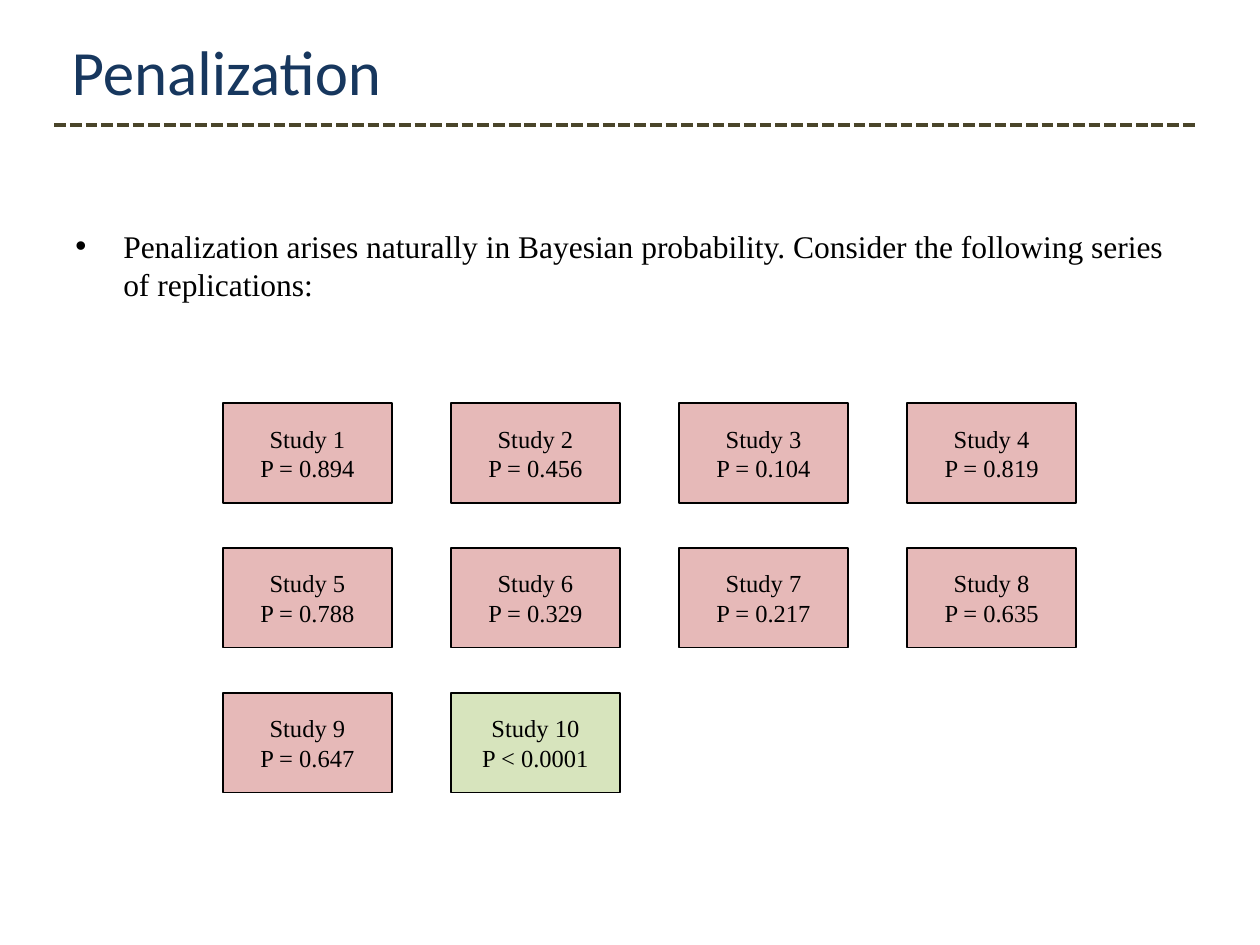
from dataclasses import dataclass

from lxml import etree
from pptx import Presentation
from pptx.dml.color import RGBColor
from pptx.enum.dml import MSO_LINE
from pptx.enum.shapes import MSO_CONNECTOR, MSO_SHAPE
from pptx.enum.text import MSO_ANCHOR, MSO_AUTO_SIZE, PP_ALIGN
from pptx.oxml.ns import qn
from pptx.util import Inches, Pt

RECTANGLE = MSO_SHAPE.RECTANGLE
STRAIGHT = MSO_CONNECTOR.STRAIGHT
DOTTED = MSO_LINE.SQUARE_DOT
MIDDLE = MSO_ANCHOR.MIDDLE
FIT_SHAPE = MSO_AUTO_SIZE.SHAPE_TO_FIT_TEXT
CENTER = PP_ALIGN.CENTER


@dataclass(frozen=True)
class Theme:
    title_font: str = "Calibri"
    body_font: str = "Times New Roman"
    title_size: int = 36
    body_size: int = 18
    study_size: int = 14
    title: str = "17375E"
    text: str = "000000"
    rule: str = "4A452A"
    not_significant: str = "E6B9B8"
    significant: str = "D7E4BD"


@dataclass(frozen=True)
class Study:
    number: int
    p_value: str
    significant: bool = False


THEME = Theme()
STUDIES = [
    Study(1, "= 0.894"),
    Study(2, "= 0.456"),
    Study(3, "= 0.104"),
    Study(4, "= 0.819"),
    Study(5, "= 0.788"),
    Study(6, "= 0.329"),
    Study(7, "= 0.217"),
    Study(8, "= 0.635"),
    Study(9, "= 0.647"),
    Study(10, "< 0.0001", significant=True),
]

# Study grid, in inches
COLUMNS = 4
GRID_LEFT, GRID_TOP = 1.77, 3.2
BOX_WIDTH, BOX_HEIGHT = 1.34, 0.79
COLUMN_STEP, ROW_STEP = 1.81, 1.15


def rgb(color: str) -> RGBColor:
    return RGBColor.from_string(color)


def format_runs(tf, font: str, size: int, color: str) -> None:
    for p in tf.paragraphs:
        for r in p.runs:
            r.font.name = font
            r.font.size = Pt(size)
            r.font.color.rgb = rgb(color)


def add_text(slide, left: float, top: float, width: float, height: float, text: str):
    sp = slide.shapes.add_textbox(Inches(left), Inches(top), Inches(width), Inches(height))
    tf = sp.text_frame
    tf.word_wrap = True
    tf.text = text
    return tf


def add_bullet(p, indent: float) -> None:
    pPr = p._p.get_or_add_pPr()
    pPr.set("marL", str(Inches(indent)))
    pPr.set("indent", str(-Inches(indent)))
    etree.SubElement(pPr, qn("a:buFont")).set("typeface", "Arial")
    etree.SubElement(pPr, qn("a:buChar")).set("char", "•")


def add_rule(slide, left: float, right: float, y: float) -> None:
    line = slide.shapes.add_connector(
        STRAIGHT, Inches(left), Inches(y), Inches(right), Inches(y))
    line.line.color.rgb = rgb(THEME.rule)
    line.line.width = Pt(2.25)
    line.line.dash_style = DOTTED
    etree.SubElement(line._element.spPr, qn("a:effectLst"))


def add_study(slide, study: Study, left: float, top: float) -> None:
    sp = slide.shapes.add_shape(
        RECTANGLE, Inches(left), Inches(top), Inches(BOX_WIDTH), Inches(BOX_HEIGHT))
    sp.shadow.inherit = False
    sp.fill.solid()
    sp.fill.fore_color.rgb = rgb(
        THEME.significant if study.significant else THEME.not_significant)
    sp.line.color.rgb = rgb(THEME.text)
    sp.line.width = Pt(1)
    tf = sp.text_frame
    tf.vertical_anchor = MIDDLE
    tf.text = f"Study {study.number}\nP {study.p_value}"
    for p in tf.paragraphs:
        p.alignment = CENTER
    format_runs(tf, THEME.body_font, THEME.study_size, THEME.text)


def main() -> None:
    prs = Presentation()
    prs.slide_width, prs.slide_height = Inches(10), Inches(7.5)
    slide = prs.slides.add_slide(prs.slide_layouts[6])

    # Introduction
    tf = add_text(
        slide, 0.5, 1.75, 8.91, 5.31,
        "Penalization arises naturally in Bayesian probability. "
        "Consider the following series of replications:")
    p = tf.paragraphs[0]
    p.space_before = Pt(0.2 * THEME.body_size)
    add_bullet(p, 0.38)
    format_runs(tf, THEME.body_font, THEME.body_size, THEME.text)

    # Title and its rule
    add_rule(slide, 0.43, 9.49, 0.99)
    tf = add_text(slide, 0.47, 0.21, 8.94, 0.71, "Penalization")
    tf.auto_size = FIT_SHAPE
    format_runs(tf, THEME.title_font, THEME.title_size, THEME.title)

    # Studies, row by row
    for i, study in enumerate(STUDIES):
        row, column = divmod(i, COLUMNS)
        add_study(slide, study, GRID_LEFT + column * COLUMN_STEP, GRID_TOP + row * ROW_STEP)

    prs.save("out.pptx")


if __name__ == "__main__":
    main()
